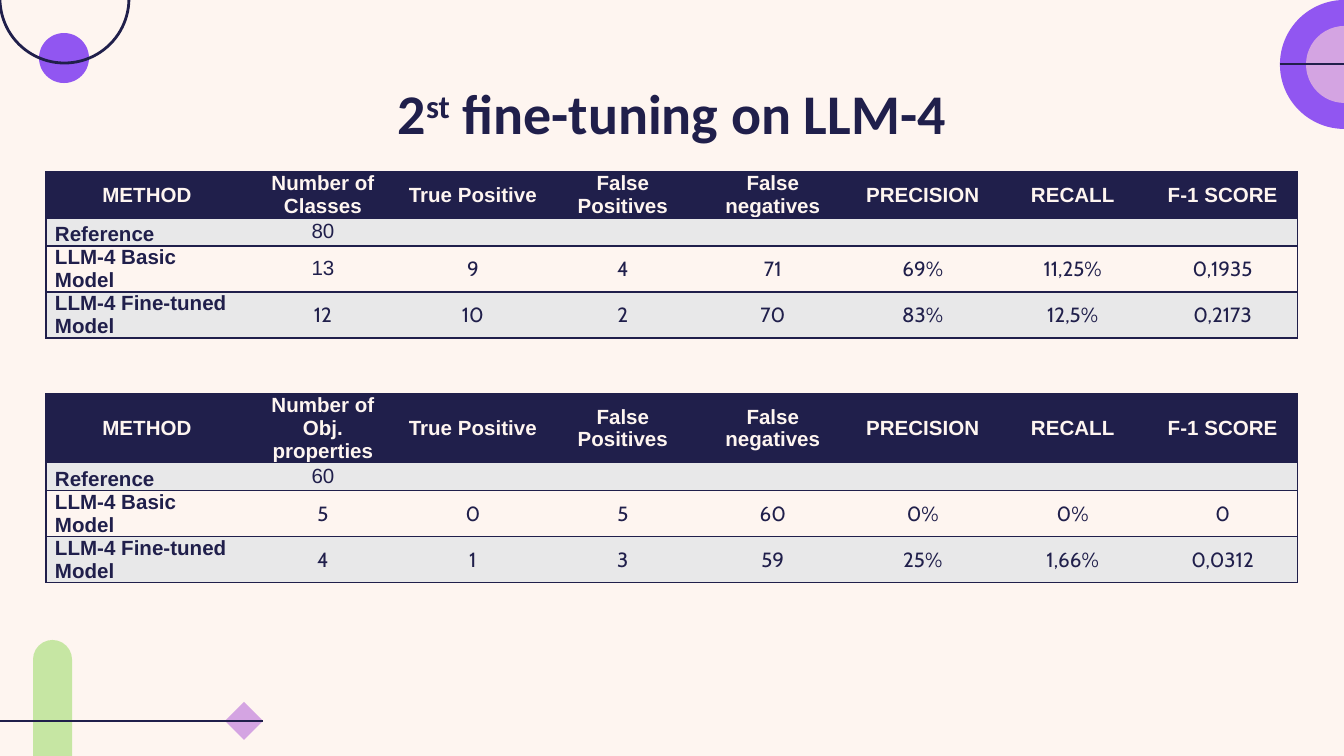
from lxml import etree
from pptx import Presentation
from pptx.dml.color import RGBColor
from pptx.enum.shapes import MSO_CONNECTOR, MSO_SHAPE
from pptx.enum.text import MSO_ANCHOR, MSO_AUTO_SIZE, PP_ALIGN
from pptx.oxml.ns import qn
from pptx.util import Emu, Pt

PX = 914400 / 134.4
W, H = 1344, 756

NAVY = RGBColor(0x20, 0x1F, 0x4B)
CREAM = RGBColor(0xFE, 0xF5, 0xF0)
GREY = RGBColor(0xE8, 0xE8, 0xE9)
PURPLE = RGBColor(0x91, 0x56, 0xF1)
LILAC = RGBColor(0xD4, 0xA4, 0xE2)
GREEN = RGBColor(0xC6, 0xE6, 0xA3)

OVAL, DIAMOND, ROUNDED = MSO_SHAPE.OVAL, MSO_SHAPE.DIAMOND, MSO_SHAPE.ROUNDED_RECTANGLE
STRAIGHT = MSO_CONNECTOR.STRAIGHT
TOP, MIDDLE, BOTTOM = MSO_ANCHOR.TOP, MSO_ANCHOR.MIDDLE, MSO_ANCHOR.BOTTOM
LEFT, CENTER = PP_ALIGN.LEFT, PP_ALIGN.CENTER

METHOD_W, VALUE_W = 202, 150
ARIAL_COUNTS = {"80", "60", "13"}
MEASURES = ["True Positive", "False Positives", "False negatives",
            "PRECISION", "RECALL", "F-1 SCORE"]
CLASSES = [
    ["METHOD", "Number of Classes", *MEASURES],
    ["Reference", "80"] + [""] * 6,
    ["LLM-4 Basic Model", "13", "9", "4", "71", "69%", "11,25%", "0,1935"],
    ["LLM-4 Fine-tuned Model", "12", "10", "2", "70", "83%", "12,5%", "0,2173"],
]
PROPERTIES = [
    ["METHOD", "Number of Obj. properties", *MEASURES],
    ["Reference", "60"] + [""] * 6,
    ["LLM-4 Basic Model", "5", "0", "5", "60", "0%", "0%", "0"],
    ["LLM-4 Fine-tuned Model", "4", "1", "3", "59", "25%", "1,66%", "0,0312"],
]


def px(n):
    return Emu(round(n * PX))


def add_figure(s, kind, x, y, w, h, fill=None):
    sp = s.shapes.add_shape(kind, px(x), px(y), px(w), px(h))
    sp.shadow.inherit = False
    if fill is None:
        sp.fill.background()
        sp.line.color.rgb = NAVY
        sp.line.width = Pt(1.5)
    else:
        sp.fill.solid()
        sp.fill.fore_color.rgb = fill
        sp.line.fill.background()
    return sp


def add_rule(s, x1, x2, y):
    line = s.shapes.add_connector(STRAIGHT, px(x1), px(y), px(x2), px(y))
    line.line.color.rgb = NAVY
    line.line.width = Pt(1.5)
    etree.SubElement(line._element.spPr, qn("a:effectLst"))
    return line


def add_left_circles(s, x, y):
    add_figure(s, OVAL, x + 39, y + 99, 50, 50, PURPLE)
    add_figure(s, OVAL, x, y, 129, 129)


def add_right_circles(s, x, y):
    add_figure(s, OVAL, x, y, 129, 129, PURPLE)
    add_figure(s, OVAL, x + 26, y + 26, 77, 77, LILAC)
    add_rule(s, x, x + 128, y + 64)


def add_corner(s, x, y):
    diamond = add_figure(s, DIAMOND, x + 225, y + 62, 38, 38, LILAC)
    bar = add_figure(s, ROUNDED, x + 33, y, 39, 181, GREEN)
    bar.adjustments[0] = 0.5
    line = add_rule(s, x, x + 263, y + 81)
    line.end_connect(diamond, 3)


def add_title(s, x, y, w, h):
    title = s.shapes.title
    title.left, title.top, title.width, title.height = px(x), px(y), px(w), px(h)
    tf = title.text_frame
    tf.word_wrap = True
    tf.auto_size = MSO_AUTO_SIZE.NONE
    tf.vertical_anchor = TOP
    tf.margin_left = tf.margin_right = tf.margin_top = tf.margin_bottom = px(13)
    p = tf.paragraphs[0]
    p.alignment = CENTER
    p.font.name, p.font.size, p.font.bold = "Calibri", Pt(30), True
    p.font.color.rgb = NAVY
    for text, baseline in (("2", 0), ("st", 30000), (" fine-tuning on LLM-4", 0)):
        r = p.add_run()
        r.text = text
        if baseline:
            r._r.get_or_add_rPr().set("baseline", str(baseline))


def set_borders(cell, sides):
    """Draw the named sides (L, R, T, B) and clear the others."""
    tcPr = cell._tc.get_or_add_tcPr()
    for side in "LRTB":
        ln = etree.SubElement(tcPr, qn("a:ln" + side), w=str(Pt(1)))
        if side in sides:
            fill = etree.SubElement(ln, qn("a:solidFill"))
            etree.SubElement(fill, qn("a:srgbClr"), val=str(NAVY))
        else:
            etree.SubElement(ln, qn("a:noFill"))


def fill_cell(cell, text, row, col, last_col):
    header, method = row == 0, col == 0
    set_borders(cell, "TB" + "L" * method + "R" * (col == last_col))
    cell.fill.solid()
    cell.fill.fore_color.rgb = NAVY if header else GREY if row % 2 else CREAM
    cell.margin_left = cell.margin_right = px(9)
    cell.margin_top = cell.margin_bottom = 0
    cell.vertical_anchor = BOTTOM if method and not header else MIDDLE
    p = cell.text_frame.paragraphs[0]
    p.alignment = LEFT if method and not header else CENTER
    arial = header or method or text in ARIAL_COUNTS and col == 1
    p.font.name = "Arial" if arial else "Cabin"
    p.font.size = Pt(11)
    p.font.bold = header or method
    p.font.color.rgb = CREAM if header else NAVY
    if text:
        p.add_run().text = text
    else:  # keeps an empty cell from stretching its row
        etree.SubElement(p._p, qn("a:endParaRPr"), sz="1100")


def add_results(s, x, y, rows, heights):
    n_cols = len(rows[0])
    width = METHOD_W + VALUE_W * (n_cols - 1)
    table = s.shapes.add_table(len(rows), n_cols, px(x), px(y),
                               px(width), px(sum(heights))).table
    table.first_row = table.horz_banding = False
    for col, column in enumerate(table.columns):
        column.width = px(VALUE_W if col else METHOD_W)
    for row, (values, height) in enumerate(zip(rows, heights)):
        table.rows[row].height = px(height)
        for col, text in enumerate(values):
            fill_cell(table.cell(row, col), text, row, col, n_cols - 1)


def main():
    prs = Presentation()
    prs.slide_width, prs.slide_height = px(W), px(H)
    s = prs.slides.add_slide(prs.slide_layouts[5])
    s.background.fill.solid()
    s.background.fill.fore_color.rgb = CREAM

    # Corner ornaments
    add_corner(s, 0, 640)
    add_right_circles(s, 1280, 0)
    add_left_circles(s, 0, -66)

    # Title and the two result tables
    add_title(s, 106, 66, 1132, 85)
    add_results(s, 46, 172, CLASSES, [45, 28, 46, 46])
    add_results(s, 46, 394, PROPERTIES, [68, 28, 46, 46])

    prs.save("out.pptx")


if __name__ == "__main__":
    main()
